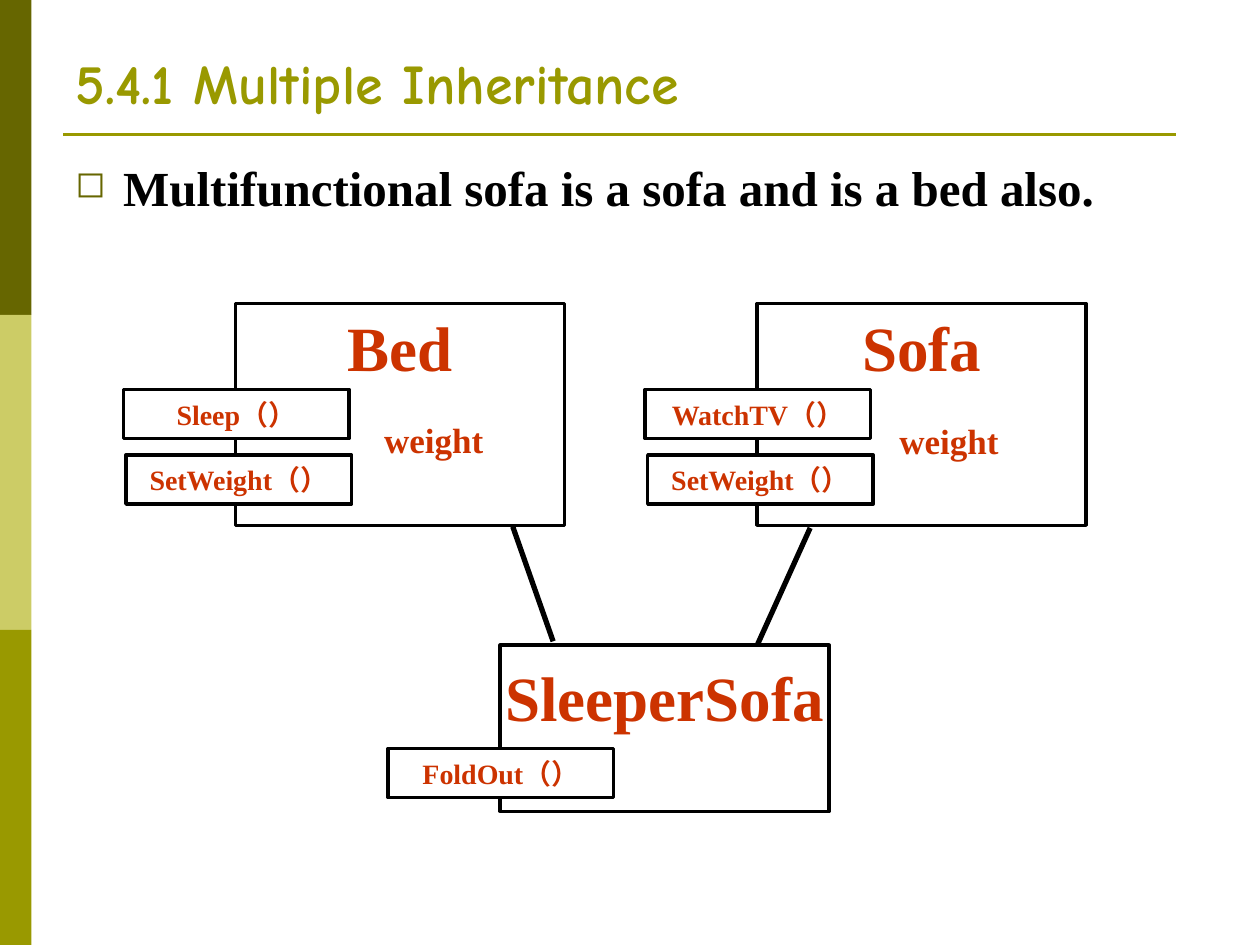
from dataclasses import dataclass
from lxml import etree
from pptx import Presentation, util as u
from pptx.dml.color import RGBColor
from pptx.enum import shapes, text
from pptx.oxml.ns import qn


@dataclass
class Theme:
    dark: str = "666600"
    pale: str = "CCCC66"
    olive: str = "999900"
    ink: str = "000000"
    paper: str = "FFFFFF"
    rust: str = "CC3300"
    head: str = "Comic Neue"
    body: str = "Times New Roman"
    title: int = 32
    point: int = 28
    name: int = 36
    field: int = 20
    call: int = 16


class Deck:
    """Places elements on a grid of 100 columns by 75 rows."""
    cols, rows = 100, 75

    def __init__(self, theme):
        self.theme = theme
        self.prs = Presentation()
        self.prs.slide_width, self.prs.slide_height = u.Inches(10), u.Inches(7.5)
        self.slide = self.prs.slides.add_slide(self.prs.slide_layouts[6])

    def grid(self, *spots):
        """Turn alternating columns and rows into lengths."""
        col = self.prs.slide_width / self.cols
        row = self.prs.slide_height / self.rows
        return [round(n * (row if i % 2 else col)) for i, n in enumerate(spots)]

    def letter(self, shape, words, size, color, font=None, top=0.05,
               anchor="TOP", align="LEFT", wrap=True):
        """Put styled words into a shape."""
        frame = shape.text_frame
        frame.text = words
        frame.word_wrap = wrap
        frame.margin_top = u.Inches(top)
        frame.vertical_anchor = text.MSO_ANCHOR[anchor]
        para = frame.paragraphs[0]
        para.alignment = text.PP_ALIGN[align]
        face = para.runs[0].font
        face.name, face.size, face.bold = font or self.theme.body, u.Pt(size), True
        face.color.rgb = RGBColor.from_string(color)
        return para

    def label(self, at, words, size, color, **style):
        box = self.slide.shapes.add_textbox(*self.grid(*at))
        return self.letter(box, words, size, color, **style)

    def bullet(self, at, words):
        t = self.theme
        para = self.label(at, words, t.point, t.ink, top=0.1)
        props = para._p.get_or_add_pPr()
        props.set("marL", str(u.Inches(0.38)))
        props.set("indent", str(u.Inches(-0.38)))
        tint = etree.SubElement(props, qn("a:buClr"))
        etree.SubElement(tint, qn("a:srgbClr"), val=t.dark)
        etree.SubElement(props, qn("a:buSzPct"), val="75000")
        etree.SubElement(props, qn("a:buChar"), char="◻")

    def rect(self, at, fill=None, line=None):
        box = self.slide.shapes.add_shape(shapes.MSO_SHAPE.RECTANGLE, *self.grid(*at))
        box.shadow.inherit = False
        if fill:
            box.fill.solid()
            box.fill.fore_color.rgb = RGBColor.from_string(fill)
        else:
            box.fill.background()
        if line:
            box.line.color.rgb = RGBColor.from_string(line)
            box.line.width = u.Pt(2)
        else:
            box.line.fill.background()
        return box

    def line(self, ends, color, width):
        link = self.slide.shapes.add_connector(
            shapes.MSO_CONNECTOR.STRAIGHT, *self.grid(*ends))
        link.line.color.rgb = RGBColor.from_string(color)
        link.line.width = u.Pt(width)
        etree.SubElement(link._element.spPr, qn("a:effectLst"))

    def entity(self, x, y, high, name, top, calls, drop, field=None):
        """Draw a class box with its methods on the left edge."""
        t = self.theme
        box = self.rect((x, y, 26.1, high), line=t.ink)
        self.letter(box, name, t.name, t.rust, top=top, align="CENTER", wrap=False)
        if field:
            self.label((*field, 15.7, 5), "weight", t.field, t.rust, top=0.28)
        for i, call in enumerate(calls):
            tag = self.rect((x - 8.9 + 0.2 * i, y + drop + 5.2 * i, 17.9, 3.9),
                            t.paper, t.ink)
            self.letter(tag, call + "（）", t.call, t.rust,
                        anchor="MIDDLE", align="CENTER", wrap=False)


def main():
    t = Theme()
    deck = Deck(t)
    for i, color in enumerate((t.dark, t.pale, t.olive)):
        deck.rect((0, 25 * i, 2.5, 25), color)
    deck.line((5, 10.7, 93.3, 10.7), t.olive, 1.5)
    deck.label((5, 2.8, 90, 6.9), "5.4.1 Multiple Inheritance", t.title, t.olive,
               font=t.head, anchor="BOTTOM")
    deck.bullet((5, 11.5, 90, 49.5), "Multifunctional sofa is a sofa and is a bed also.")

    deck.entity(18.7, 24.1, 17.6, "Bed", 0.04, ("Sleep", "SetWeight"), 6.8, (29.5, 30.4))
    deck.entity(60.1, 24.1, 17.6, "Sofa", 0.04, ("WatchTV", "SetWeight"), 6.8, (70.4, 30.5))
    deck.entity(39.7, 51.2, 13.2, "SleeperSofa", 0.11, ("FoldOut",), 8.2)
    for ends in ((40.7, 41.8, 43.9, 50.9), (64.3, 41.9, 60.1, 51.2)):
        deck.line(ends, t.ink, 3)
    deck.prs.save("out.pptx")


if __name__ == "__main__":
    main()
